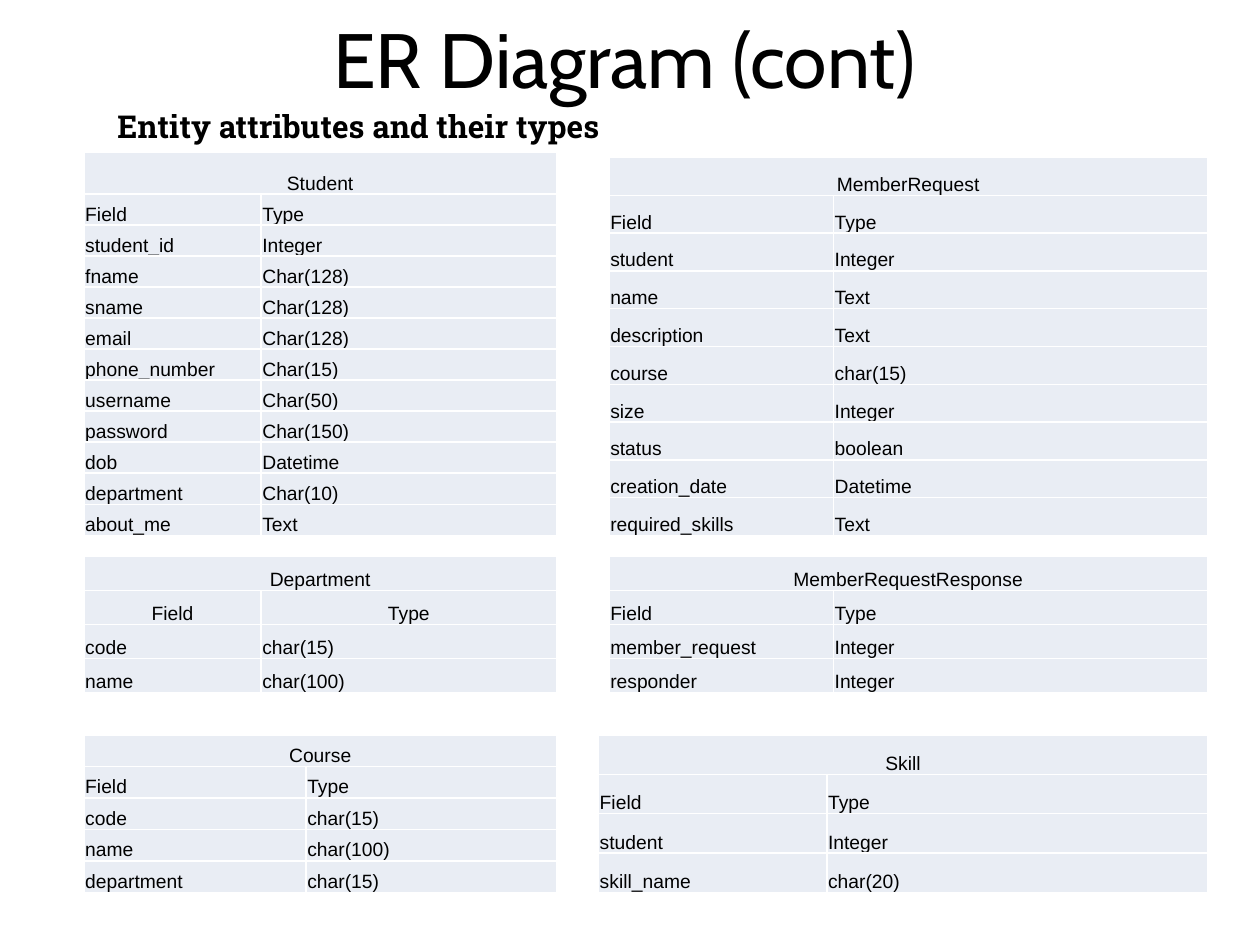
from dataclasses import dataclass

from lxml.etree import SubElement
from pptx import Presentation
from pptx.dml.color import RGBColor
from pptx.enum.text import MSO_ANCHOR, PP_ALIGN
from pptx.oxml.ns import qn
from pptx.util import Inches, Pt


@dataclass(frozen=True)
class Theme:
    ink: str = "000000"
    cell: str = "E9EDF4"
    border: str = "FFFFFF"
    border_width: int = 1
    title_font: str = "Cabin"
    title_size: int = 44
    subtitle_font: str = "Roboto Slab"
    subtitle_size: int = 18
    table_font: str = "Arial"
    table_size: int = 11


@dataclass(frozen=True)
class Area:
    """A place on the grid: 120 columns by 90 rows of square units."""
    column: float
    row: float
    columns: float
    rows: float

    def lengths(self) -> list:
        return [Inches(units / UNITS_PER_INCH)
                for units in (self.column, self.row, self.columns, self.rows)]


@dataclass(frozen=True)
class Entity:
    name: str
    area: Area
    attributes: tuple
    field_share: float = 0.375
    name_rows: float = 0  # 0 gives the name row the same height as the others
    header_align: PP_ALIGN = PP_ALIGN.LEFT


THEME = Theme()
UNITS_PER_INCH = 12
GRID_COLUMNS, GRID_ROWS = 120, 90

ENTITIES = (
    Entity("Student", Area(8, 14.5, 45, 36.5), (
        ("student_id", "Integer"),
        ("fname", "Char(128)"),
        ("sname", "Char(128)"),
        ("email", "Char(128)"),
        ("phone_number", "Char(15)"),
        ("username", "Char(50)"),
        ("password", "Char(150)"),
        ("dob", "Datetime"),
        ("department", "Char(10)"),
        ("about_me", "Text"),
    ), name_rows=4),
    Entity("MemberRequest", Area(58, 15, 57, 36), (
        ("student", "Integer"),
        ("name", "Text"),
        ("description", "Text"),
        ("course", "char(15)"),
        ("size", "Integer"),
        ("status", "boolean"),
        ("creation_date", "Datetime"),
        ("required_skills", "Text"),
    )),
    Entity("Department", Area(8, 53, 45, 13), (
        ("code", "char(15)"),
        ("name", "char(100)"),
    ), header_align=PP_ALIGN.CENTER),
    Entity("MemberRequestResponse", Area(58, 53, 57, 13), (
        ("member_request", "Integer"),
        ("responder", "Integer"),
    )),
    Entity("Course", Area(8, 70, 45, 15), (
        ("code", "char(15)"),
        ("name", "char(100)"),
        ("department", "char(15)"),
    ), field_share=0.47),
    Entity("Skill", Area(57, 70, 58, 15), (
        ("student", "Integer"),
        ("skill_name", "char(20)"),
    )),
)


def style_text(frame, font: str, size: int, align: PP_ALIGN, bold: bool = False) -> None:
    para = frame.paragraphs[0]
    para.alignment = align
    for span in para.runs:
        span.font.name = font
        span.font.size = Pt(size)
        span.font.bold = bold
        span.font.color.rgb = RGBColor.from_string(THEME.ink)


def add_heading(page, area: Area, text: str, font: str, size: int, align: PP_ALIGN,
                anchor: MSO_ANCHOR, bold: bool = False) -> None:
    frame = page.shapes.add_textbox(*area.lengths()).text_frame
    frame.word_wrap = True
    frame.vertical_anchor = anchor
    frame.text = text
    style_text(frame, font, size, align, bold)


def add_borders(cell) -> None:
    properties = cell._tc.get_or_add_tcPr()
    # Border lines must come before the fill
    for position, side in enumerate(("lnL", "lnR", "lnT", "lnB")):
        line = SubElement(properties, qn(f"a:{side}"), w=str(Pt(THEME.border_width)))
        fill = SubElement(line, qn("a:solidFill"))
        SubElement(fill, qn("a:srgbClr"), val=THEME.border)
        properties.insert(position, line)


def style_cell(cell, text: str, align: PP_ALIGN) -> None:
    cell.text_frame.text = text
    cell.vertical_anchor = MSO_ANCHOR.BOTTOM
    cell.margin_left = cell.margin_right = cell.margin_top = Inches(0.01)
    cell.margin_bottom = 0
    cell.fill.solid()
    cell.fill.fore_color.rgb = RGBColor.from_string(THEME.cell)
    add_borders(cell)
    style_text(cell.text_frame, THEME.table_font, THEME.table_size, align)


def add_entity(page, entity: Entity) -> None:
    lines = ((entity.name, ""), ("Field", "Type"), *entity.attributes)
    left, top, width, height = entity.area.lengths()
    table = page.shapes.add_table(len(lines), 2, left, top, width, height).table

    # Column widths and row heights
    table.columns[0].width = int(width * entity.field_share)
    table.columns[1].width = width - table.columns[0].width
    name_height = (Inches(entity.name_rows / UNITS_PER_INCH)
                   if entity.name_rows else height // len(lines))
    for row in table.rows:
        row.height = (height - name_height) // (len(lines) - 1)
    table.rows[0].height = name_height

    # Entity name, header and attributes
    alignments = {0: PP_ALIGN.CENTER, 1: entity.header_align}
    for row_index, line in enumerate(lines):
        for column_index, text in enumerate(line):
            style_cell(table.cell(row_index, column_index), text,
                       alignments.get(row_index, PP_ALIGN.LEFT))
    table.cell(0, 0).merge(table.cell(0, 1))


def main() -> None:
    deck = Presentation()
    deck.slide_width = Inches(GRID_COLUMNS / UNITS_PER_INCH)
    deck.slide_height = Inches(GRID_ROWS / UNITS_PER_INCH)
    page = deck.slides.add_slide(deck.slide_layouts[6])

    # Headings
    add_heading(page, Area(6, -2, 107, 15), "ER Diagram (cont)", THEME.title_font,
                THEME.title_size, PP_ALIGN.CENTER, MSO_ANCHOR.MIDDLE)
    add_heading(page, Area(10, 9.6, 80, 4.8), "Entity attributes and their types",
                THEME.subtitle_font, THEME.subtitle_size, PP_ALIGN.LEFT,
                MSO_ANCHOR.TOP, bold=True)

    # Entity tables
    for entity in ENTITIES:
        add_entity(page, entity)

    deck.save("out.pptx")


if __name__ == "__main__":
    main()
